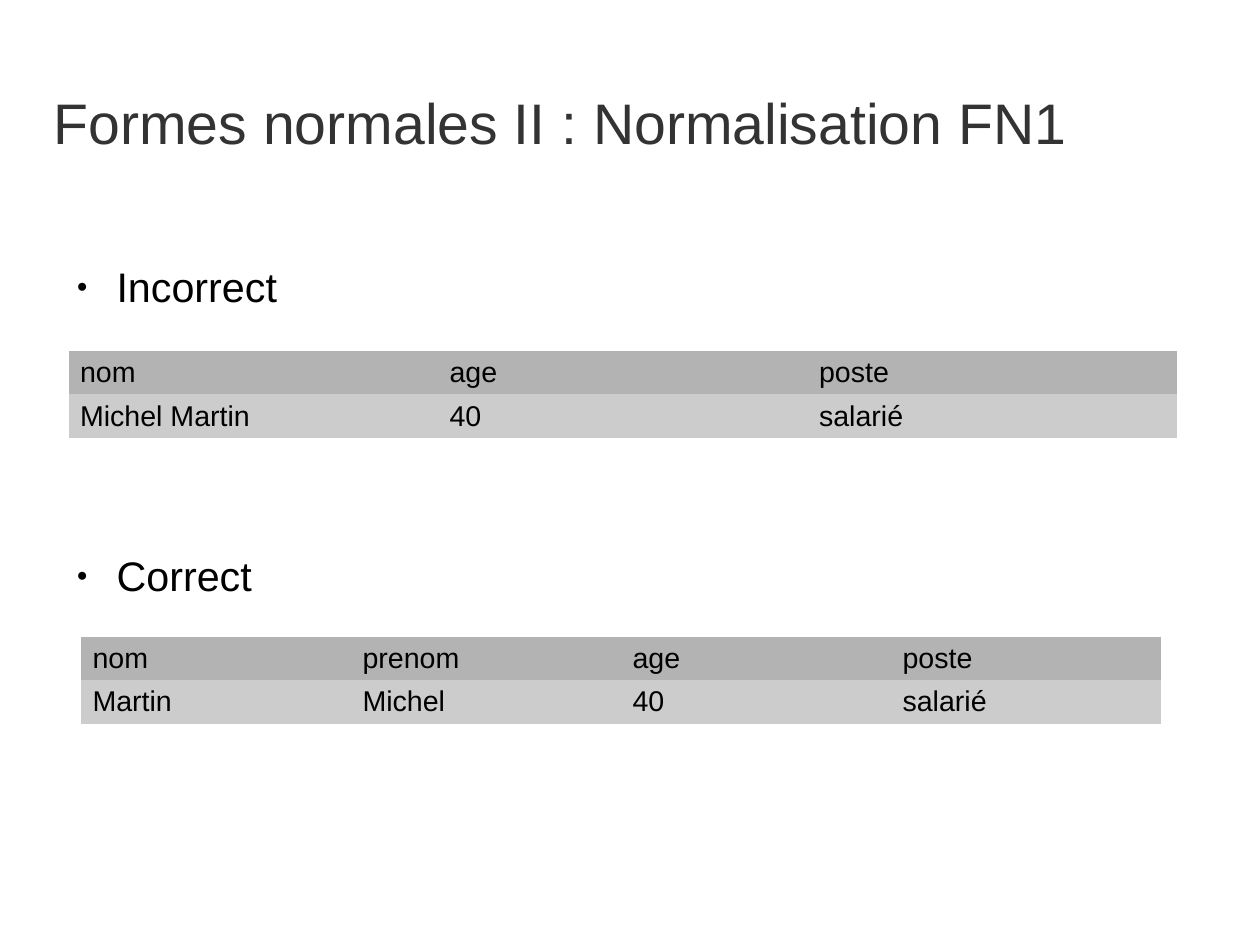
from pptx import Presentation
from pptx.dml.color import RGBColor
from pptx.enum.text import MSO_ANCHOR, MSO_AUTO_SIZE, PP_ALIGN
from pptx.oxml.ns import qn
from pptx.oxml.xmlchemy import OxmlElement
from pptx.util import Inches, Pt

LEFT = PP_ALIGN.LEFT
MIDDLE, TOP = MSO_ANCHOR.MIDDLE, MSO_ANCHOR.TOP
NO_FIT = MSO_AUTO_SIZE.NONE
TITLE_ONLY = 5
CM_PER_INCH = 2.54
PLAIN_TABLE_STYLE = "{2D5ABB26-0587-4C30-8999-92F81FD0307C}"
ROW_FILLS = ["B3B3B3", "CCCCCC"]
ROW_HEIGHT = 0.38


def rgb(color):
    return RGBColor.from_string(color)


def write(p, text, size, color="000000"):
    p.alignment = LEFT
    r = p.add_run()
    r.text = text
    for name, value in {"name": "Arial", "size": Pt(size), "bold": False}.items():
        setattr(r.font, name, value)
    r.font.color.rgb = rgb(color)


def set_frame(tf, anchor):
    values = {"word_wrap": True, "auto_size": NO_FIT, "vertical_anchor": anchor,
              "margin_left": 0, "margin_top": 0, "margin_right": 0, "margin_bottom": 0}
    for name, value in values.items():
        setattr(tf, name, value)


def add_title(s, text):
    title = s.shapes.title
    for name, value in {"left": 0.47, "top": 0.71, "width": 9.69, "height": 0.71}.items():
        setattr(title, name, Inches(value))
    set_frame(title.text_frame, MIDDLE)
    write(title.text_frame.paragraphs[0], text, 36, "333333")


def set_bullet(p):
    pPr = p._p.get_or_add_pPr()
    pPr.set("marL", str(Inches(0.47)))
    pPr.set("indent", str(Inches(-0.35)))
    for tag, key, value in [("a:buSzPct", "val", "45000"),
                            ("a:buFont", "typeface", "Arial"),
                            ("a:buChar", "char", "●")]:
        bullet = OxmlElement(tag)
        bullet.set(key, value)
        pPr.append(bullet)


def add_bullets(s, labels, gap):
    body = s.shapes.add_textbox(Inches(0.55), Inches(2.29), Inches(9.7), Inches(4.8))
    tf = body.text_frame
    set_frame(tf, TOP)
    for i, label in enumerate(labels):
        p = tf.paragraphs[0] if i == 0 else tf.add_paragraph()
        p.space_before = Pt(gap if i else 0)
        set_bullet(p)
        write(p, label, 26)


def add_data_table(s, left, top, width, rows):
    frame = s.shapes.add_table(len(rows), len(rows[0]), Inches(left), Inches(top),
                               Inches(width), Inches(ROW_HEIGHT * len(rows)))
    table = frame.table
    table.first_row = table.horz_banding = False
    for style in frame._element.iter(qn("a:tableStyleId")):
        style.text = PLAIN_TABLE_STYLE
    for i, (values, fill) in enumerate(zip(rows, ROW_FILLS)):
        for j, value in enumerate(values):
            cell = table.cell(i, j)
            cell.fill.solid()
            cell.fill.fore_color.rgb = rgb(fill)
            write(cell.text_frame.paragraphs[0], value, 18)


def main():
    prs = Presentation()
    prs.slide_width = Inches(28 / CM_PER_INCH)
    prs.slide_height = Inches(21 / CM_PER_INCH)
    s = prs.slides.add_slide(prs.slide_layouts[TITLE_ONLY])
    add_title(s, "Formes normales II : Normalisation FN1")
    add_bullets(s, ["Incorrect", "Correct"], 150.5)
    add_data_table(s, 0.6, 3.07, 9.7, [["nom", "age", "poste"],
                                       ["Michel Martin", "40", "salarié"]])
    add_data_table(s, 0.71, 5.57, 9.45, [["nom", "prenom", "age", "poste"],
                                         ["Martin", "Michel", "40", "salarié"]])
    prs.save("out.pptx")


if __name__ == "__main__":
    main()
